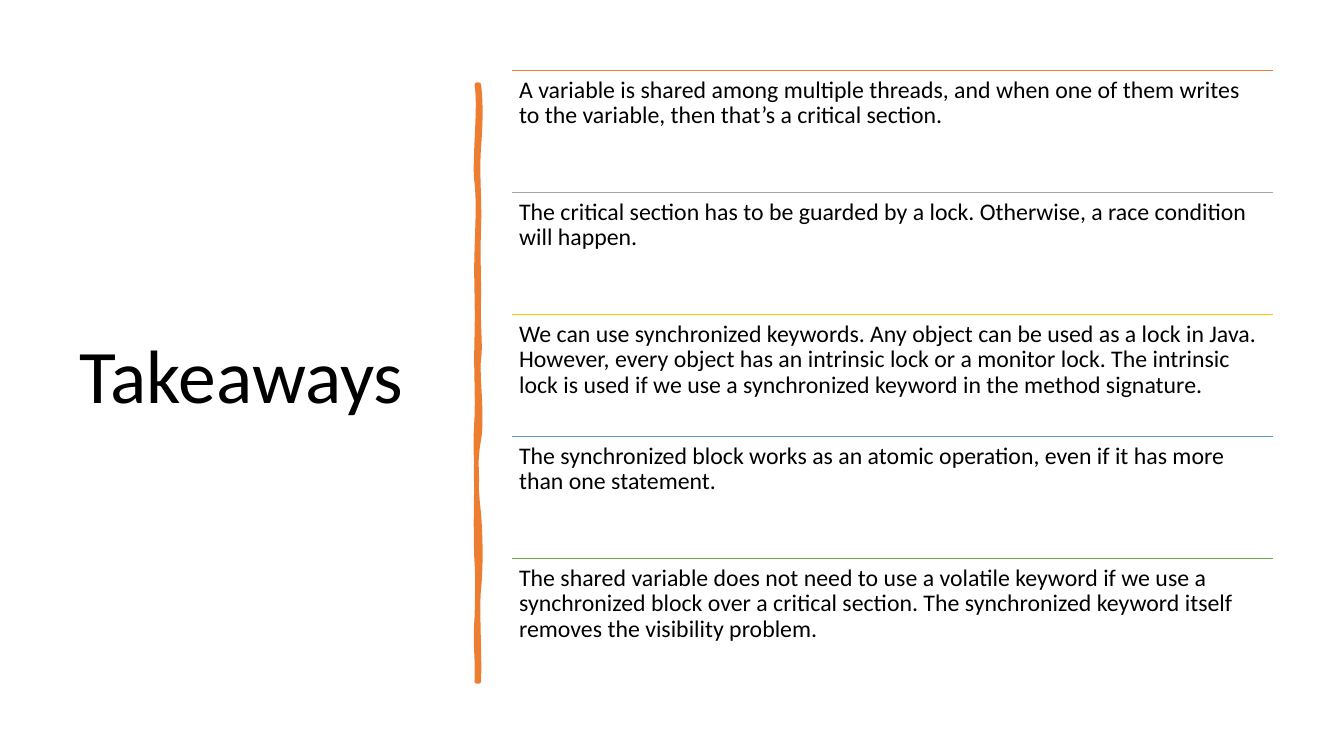
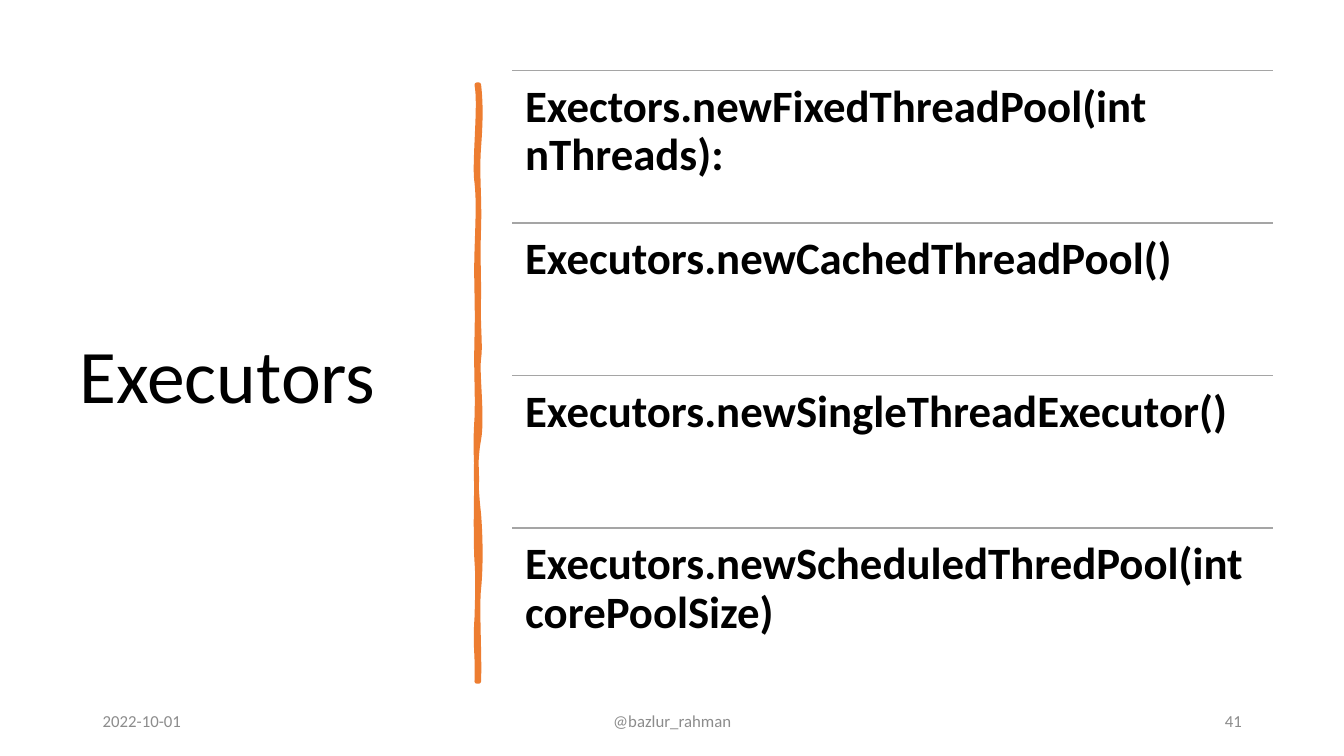
from lxml import etree
from pptx import Presentation
from pptx.dml.color import RGBColor
from pptx.enum.shapes import MSO_CONNECTOR
from pptx.enum.text import MSO_ANCHOR, MSO_AUTO_SIZE, PP_ALIGN
from pptx.oxml.ns import qn
from pptx.util import Inches, Pt

STRAIGHT = MSO_CONNECTOR.STRAIGHT
TOP, MIDDLE = MSO_ANCHOR.TOP, MSO_ANCHOR.MIDDLE
LEFT, CENTER, RIGHT = PP_ALIGN.LEFT, PP_ALIGN.CENTER, PP_ALIGN.RIGHT
NO_AUTOFIT = MSO_AUTO_SIZE.NONE

BLACK = RGBColor(0x00, 0x00, 0x00)
FOOTER_GRAY = RGBColor(0x8C, 0x8C, 0x8C)
ORANGE = RGBColor(0xED, 0x7D, 0x31)
GRAY = RGBColor(0xA5, 0xA5, 0xA5)
GOLD = RGBColor(0xFF, 0xC0, 0x00)
BLUE = RGBColor(0x5B, 0x9B, 0xD5)
GREEN = RGBColor(0x70, 0xAD, 0x47)
FONT = "Calibri"

# Content
SLIDES = [
    {
        "title": "Takeaways",
        "size": 17, "bold": False, "inset": 0.07,
        "rule_colors": [ORANGE, GRAY, GOLD, BLUE, GREEN],
        "points": [
            "A variable is shared among multiple threads, and when one of them "
            "writes to the variable, then that’s a critical section.",
            "The critical section has to be guarded by a lock. Otherwise, a race "
            "condition will happen.",
            "We can use synchronized keywords. Any object can be used as a lock in "
            "Java. However, every object has an intrinsic lock or a monitor lock. "
            "The intrinsic lock is used if we use a synchronized keyword in the "
            "method signature.",
            "The synchronized block works as an atomic operation, even if it has "
            "more than one statement.",
            "The shared variable does not need to use a volatile keyword if we use "
            "a synchronized block over a critical section. The synchronized keyword "
            "itself removes the visibility problem.",
        ],
        "footer": [],
    },
    {
        "title": "Executors",
        "size": 32, "bold": True, "inset": 0.13,
        "rule_colors": [GRAY] * 4,
        "points": [
            "Exectors.newFixedThreadPool(int nThreads):",
            "Executors.newCachedThreadPool()",
            "Executors.newSingleThreadExecutor()",
            "Executors.newScheduledThredPool(int corePoolSize)",
        ],
        "footer": ["2022-10-01", "@bazlur_rahman", "41"],
    },
]

# Layout, in inches
SLIDE_HEIGHT = 7.5
SLIDE_WIDTH = SLIDE_HEIGHT * 16 / 9
LIST_LEFT, LIST_TOP, LIST_WIDTH, LIST_HEIGHT = 5.08, 0.7, 7.55, 6.05
FOOTER_TOP, FOOTER_HEIGHT = 6.95, 0.4
FOOTER_PARTS = [(0.92, 3, LEFT), (4.42, 4.5, CENTER), (9.42, 3, RIGHT)]

# Brush stroke: a start point, then cubic curves (two controls and an end)
BRUSH_START = (4.75, 0.84)
BRUSH_CURVES = [
    ((4.77, 1.02), (4.77, 1.19), (4.75, 1.46)),
    ((4.73, 1.73), (4.76, 1.95), (4.75, 2.26)),
    ((4.74, 2.57), (4.75, 2.62), (4.75, 2.94)),
    ((4.74, 3.25), (4.77, 3.42), (4.75, 3.56)),
    ((4.73, 3.7), (4.79, 4.14), (4.75, 4.36)),
    ((4.71, 4.57), (4.72, 4.84), (4.75, 5.1)),
    ((4.77, 5.36), (4.77, 5.64), (4.75, 5.84)),
    ((4.73, 6.03), (4.76, 6.5), (4.75, 6.76)),
    ((4.74, 6.76), (4.73, 6.76), (4.73, 6.76)),
    ((4.74, 6.46), (4.71, 6.44), (4.73, 6.13)),
    ((4.74, 5.83), (4.74, 5.7), (4.73, 5.57)),
    ((4.72, 5.44), (4.72, 4.95), (4.73, 4.77)),
    ((4.73, 4.59), (4.71, 4.45), (4.73, 4.15)),
    ((4.74, 3.86), (4.72, 3.73), (4.73, 3.35)),
    ((4.74, 2.98), (4.72, 2.81), (4.73, 2.5)),
    ((4.74, 2.18), (4.75, 2), (4.73, 1.81)),
    ((4.7, 1.63), (4.77, 1.04), (4.73, 0.84)),
]


def write_text(shape, text, size, color=BLACK, bold=False, align=LEFT,
               anchor=TOP, inset=None, line_spacing=None):
    frame = shape.text_frame
    frame.word_wrap = True
    frame.auto_size = NO_AUTOFIT
    frame.vertical_anchor = anchor
    if inset is not None:
        frame.margin_left = frame.margin_right = Inches(inset)
        frame.margin_top = frame.margin_bottom = Inches(inset)
    frame.text = text
    paragraph = frame.paragraphs[0]
    paragraph.alignment = align
    paragraph.line_spacing = line_spacing
    font = paragraph.runs[0].font
    font.name, font.size, font.bold = FONT, Pt(size), bold
    font.color.rgb = color


def add_text(slide, box, text, **text_format):
    textbox = slide.shapes.add_textbox(*map(Inches, box))
    write_text(textbox, text, **text_format)


def add_title(slide, text):
    title = slide.shapes.title
    title.left, title.top = Inches(0.69), Inches(0.7)
    title.width, title.height = Inches(3.74), Inches(6.11)
    write_text(title, text, 54, anchor=MIDDLE, line_spacing=0.9)


def bend_segments(stroke, curves):
    """Turn each straight segment into a cubic curve by adding its controls."""
    segments = list(stroke._element.spPr.iter(qn("a:lnTo")))
    for segment, (control_1, control_2, _) in zip(segments, curves):
        segment.tag = qn("a:cubicBezTo")
        for position, (x, y) in enumerate((control_1, control_2)):
            control = etree.Element(qn("a:pt"))
            control.set("x", str(Inches(x) - stroke.left))
            control.set("y", str(Inches(y) - stroke.top))
            segment.insert(position, control)


def add_brush_stroke(slide):
    builder = slide.shapes.build_freeform(*map(Inches, BRUSH_START))
    ends = [tuple(map(Inches, end)) for _, _, end in BRUSH_CURVES]
    builder.add_line_segments(ends, close=True)
    stroke = builder.convert_to_shape()
    stroke.shadow.inherit = False
    stroke.fill.solid()
    stroke.fill.fore_color.rgb = ORANGE
    stroke.line.color.rgb = ORANGE
    stroke.line.width = Pt(3.25)
    etree.SubElement(stroke._element.spPr.find(qn("a:ln")), qn("a:round"))
    bend_segments(stroke, BRUSH_CURVES)


def add_rule(slide, top, color):
    rule = slide.shapes.add_connector(
        STRAIGHT, Inches(LIST_LEFT), Inches(top),
        Inches(LIST_LEFT + LIST_WIDTH), Inches(top))
    rule.line.color.rgb = color
    rule.line.width = Pt(1)
    etree.SubElement(rule._element.spPr, qn("a:effectLst"))


def add_ruled_list(slide, content):
    row_height = LIST_HEIGHT / len(content["points"])
    for row, (point, color) in enumerate(zip(content["points"], content["rule_colors"])):
        top = LIST_TOP + row * row_height
        add_rule(slide, top, color)
        add_text(slide, (LIST_LEFT, top, LIST_WIDTH, row_height), point,
                 size=content["size"], bold=content["bold"],
                 inset=content["inset"], line_spacing=0.9)


def add_footer(slide, texts):
    for text, (left, width, align) in zip(texts, FOOTER_PARTS):
        add_text(slide, (left, FOOTER_TOP, width, FOOTER_HEIGHT), text,
                 size=12, color=FOOTER_GRAY, align=align, anchor=MIDDLE)


def main():
    deck = Presentation()
    deck.slide_width, deck.slide_height = Inches(SLIDE_WIDTH), Inches(SLIDE_HEIGHT)
    title_only = deck.slide_layouts.get_by_name("Title Only")
    for content in SLIDES:
        slide = deck.slides.add_slide(title_only)
        add_title(slide, content["title"])
        add_brush_stroke(slide)
        add_footer(slide, content["footer"])
        add_ruled_list(slide, content)
    deck.save("out.pptx")


if __name__ == "__main__":
    main()
